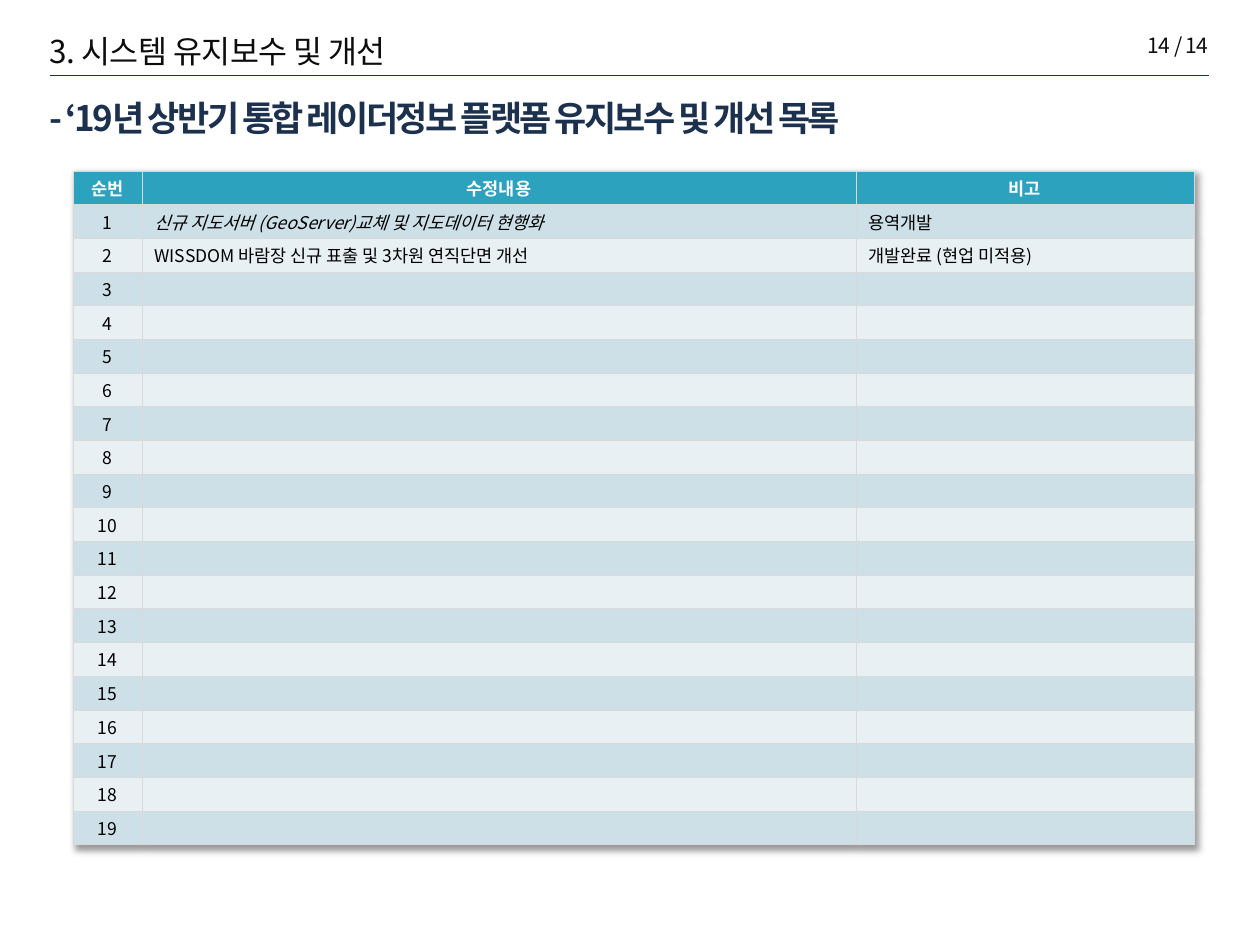
from dataclasses import dataclass

import lxml.etree
import pptx
import pptx.dml.color
import pptx.enum.shapes
import pptx.enum.text
import pptx.oxml
import pptx.oxml.ns
import pptx.util

EMU_PER_PX = 914400 / 126
ALIGN = pptx.enum.text.PP_ALIGN
ANCHOR = pptx.enum.text.MSO_ANCHOR
AUTO_SIZE = pptx.enum.text.MSO_AUTO_SIZE
qn = pptx.oxml.ns.qn


@dataclass(frozen=True)
class Theme:
    font: str = "Noto Sans CJK KR"
    ink: str = "0D0D0D"
    navy: str = "1C314E"
    header_fill: str = "2DA2BF"
    header_text: str = "FFFFFF"
    cell_text: str = "000000"
    bands: tuple[str, str] = ("CDE0E8", "E8F0F4")
    border: str = "D9D9D9"
    section_size: int = 18
    page_size: int = 12
    title_size: int = 20
    table_size: int = 10


@dataclass(frozen=True)
class Box:
    left: int
    top: int
    width: int
    height: int

    def emu(self) -> tuple[int, ...]:
        return tuple(px(n) for n in (self.left, self.top, self.width, self.height))


@dataclass(frozen=True)
class Change:
    content: str = ""
    note: str = ""
    italic: bool = False


THEME = Theme()
COLUMN_WIDTHS = (69, 714, 338)
HEADINGS = ("순번", "수정내용", "비고")
ROW_COUNT = 19
CHANGES = [
    Change("신규 지도서버 (GeoServer)교체 및 지도데이터 현행화", "용역개발", italic=True),
    Change("WISSDOM 바람장 신규 표출 및 3차원 연직단면 개선", "개발완료 (현업 미적용)"),
]
CHANGES += [Change()] * (ROW_COUNT - len(CHANGES))


def px(length: int) -> int:
    return round(length * EMU_PER_PX)


def rgb(color: str) -> pptx.dml.color.RGBColor:
    return pptx.dml.color.RGBColor.from_string(color)


def write(frame, text: str, *, size: int, color: str, bold: bool = False,
          italic: bool = False, align=ALIGN.LEFT, spacing: int = 0) -> None:
    """Fill the frame with one paragraph; spacing is in hundredths of a point."""
    paragraph = frame.paragraphs[0]
    paragraph.alignment = align
    if not text:
        # An empty cell still needs its size, or the row grows to 18 pt text.
        lxml.etree.SubElement(paragraph._p, qn("a:endParaRPr"), sz=str(size * 100))
        return
    run = paragraph.add_run()
    run.text = text
    run.font.size = pptx.util.Pt(size)
    run.font.bold = bold
    run.font.italic = italic
    run.font.color.rgb = rgb(color)
    run.font.name = THEME.font
    properties = run._r.get_or_add_rPr()
    if spacing:
        properties.set("spc", str(spacing))
    lxml.etree.SubElement(properties, qn("a:ea"), typeface=THEME.font)


def add_label(slide, box: Box, text: str, **text_format) -> None:
    frame = slide.shapes.add_textbox(*box.emu()).text_frame
    frame.word_wrap = True
    frame.auto_size = AUTO_SIZE.SHAPE_TO_FIT_TEXT
    write(frame, text, color=THEME.ink, spacing=-30, **text_format)


def place_title(slide, box: Box, text: str) -> None:
    title = slide.shapes.title
    title.left, title.top, title.width, title.height = box.emu()
    frame = title.text_frame
    frame.word_wrap = True
    frame.auto_size = AUTO_SIZE.NONE
    frame.vertical_anchor = ANCHOR.MIDDLE
    write(frame, text, size=THEME.title_size, color=THEME.navy, bold=True, spacing=-150)


def add_rule(slide, left: int, right: int, y: int) -> None:
    rule = slide.shapes.add_connector(
        pptx.enum.shapes.MSO_CONNECTOR.STRAIGHT, px(left), px(y), px(right), px(y))
    rule.line.color.rgb = rgb(THEME.navy)
    rule.line.width = pptx.util.Pt(0.25)
    lxml.etree.SubElement(rule._element.spPr, qn("a:effectLst"))


def style_cell(cell, fill: str) -> None:
    cell.margin_top = cell.margin_bottom = px(4)
    cell.vertical_anchor = ANCHOR.MIDDLE
    properties = cell._tc.get_or_add_tcPr()
    for side in ("lnL", "lnR", "lnT", "lnB"):
        line = lxml.etree.SubElement(properties, qn(f"a:{side}"), w=str(pptx.util.Pt(0.5)))
        solid = lxml.etree.SubElement(line, qn("a:solidFill"))
        lxml.etree.SubElement(solid, qn("a:srgbClr"), val=THEME.border)
    cell.fill.solid()
    cell.fill.fore_color.rgb = rgb(fill)


def add_table_shadow(table) -> None:
    effects = pptx.oxml.parse_xml(
        '<a:effectLst xmlns:a="http://schemas.openxmlformats.org/drawingml/2006/main">'
        '<a:outerShdw blurRad="50800" dist="38100" dir="2700000" algn="tl" rotWithShape="0">'
        '<a:srgbClr val="000000"><a:alpha val="40000"/></a:srgbClr>'
        '</a:outerShdw></a:effectLst>')
    table._tbl.tblPr.insert(0, effects)


def add_change_table(slide, box: Box) -> None:
    table = slide.shapes.add_table(ROW_COUNT + 1, len(HEADINGS), *box.emu()).table
    add_table_shadow(table)
    for column, width in zip(table.columns, COLUMN_WIDTHS):
        column.width = px(width)
    for row in table.rows:
        row.height = px(box.height) // (ROW_COUNT + 1)

    for column, heading in enumerate(HEADINGS):
        cell = table.cell(0, column)
        style_cell(cell, THEME.header_fill)
        write(cell.text_frame, heading, size=THEME.table_size,
              color=THEME.header_text, bold=True, align=ALIGN.CENTER)

    for number, change in enumerate(CHANGES, start=1):
        for column, text in enumerate((str(number), change.content, change.note)):
            cell = table.cell(number, column)
            style_cell(cell, THEME.bands[(number - 1) % 2])
            write(cell.text_frame, text, size=THEME.table_size, color=THEME.cell_text,
                  italic=change.italic and column == 1,
                  align=ALIGN.CENTER if column == 0 else ALIGN.LEFT)


def main() -> None:
    deck = pptx.Presentation()
    deck.slide_width, deck.slide_height = px(1260), px(945)
    slide = deck.slides.add_slide(deck.slide_layouts.get_by_name("Title Only"))
    add_label(slide, Box(37, 26, 451, 50), "3. 시스템 유지보수 및 개선", size=THEME.section_size)
    add_rule(slide, left=50, right=1209, y=75)
    add_label(slide, Box(1003, 26, 218, 38), "14 / 14", size=THEME.page_size, align=ALIGN.RIGHT)
    place_title(slide, Box(37, 77, 964, 81),
                "- ‘19년 상반기 통합 레이더정보 플랫폼 유지보수 및 개선 목록")
    add_change_table(slide, Box(73, 171, sum(COLUMN_WIDTHS), 674))
    deck.save("out.pptx")


if __name__ == "__main__":
    main()
